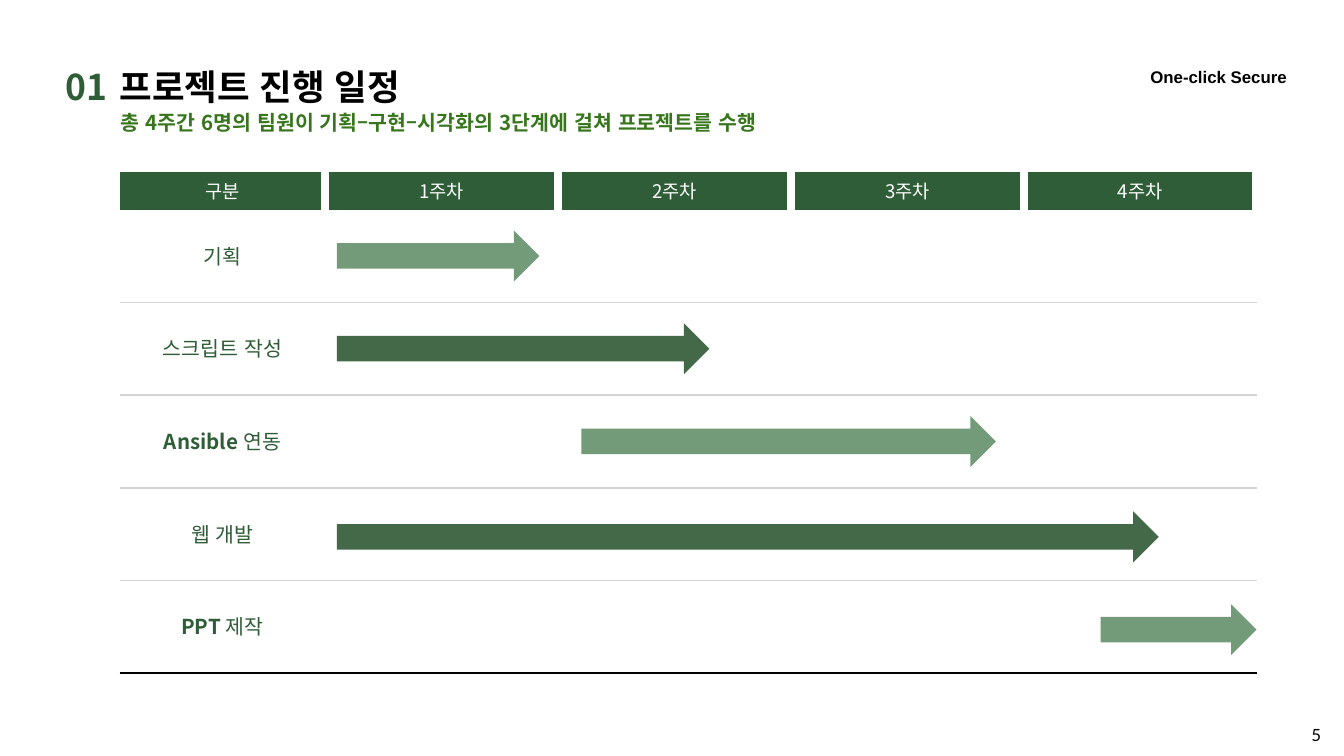
from dataclasses import dataclass

from lxml.etree import SubElement
from pptx import Presentation
from pptx.dml.color import RGBColor
from pptx.enum.lang import MSO_LANGUAGE_ID
from pptx.enum.shapes import MSO_SHAPE
from pptx.enum.text import MSO_ANCHOR, PP_ALIGN
from pptx.oxml.ns import qn
from pptx.util import Inches, Pt


@dataclass(frozen=True)
class Theme:
    green: str = "2F5D37"
    subtitle: str = "38761D"
    light_bar: str = "739B79"
    dark_bar: str = "436949"
    rule: str = "D4D4D4"
    black: str = "000000"
    white: str = "FFFFFF"
    korean: str = "Noto Sans CJK KR"
    brand: str = "Arial"
    number: str = "Lato"
    title_size: float = 19
    body_size: float = 11
    header_size: float = 10
    small_size: float = 9


T = Theme()

# Schedule grid, in inches
LEFT, TOP, WIDTH = 0.89, 1.28, 8.46
LABEL_W = 1.53
WEEK_W = (WIDTH - LABEL_W) / 4
HEAD_H, ROW_H = 0.28, 0.69
BAR_H = 0.38

HEADERS = ["구분", "1주차", "2주차", "3주차", "4주차"]
# Task label as (text, bold) runs, start and end in weeks, drop below centre
TASKS = [
    ([("기획", False)], 0.05, 0.92, 0),
    ([("스크립트 작성", False)], 0.05, 1.65, 0),
    ([("Ansible", True), (" 연동", False)], 1.10, 2.88, 0),
    ([("웹 개발", False)], 0.05, 3.58, 0.02),
    ([("PPT ", True), ("제작", False)], 3.33, 4.00, 0.02),
]


def style_paragraph(p, runs, size, color, name, align, spacing):
    """Write (text, bold) runs in one font, for Latin and Korean alike."""
    p.alignment, p.line_spacing = align, spacing
    p.font.size, p.font.name = Pt(size), name
    p.font.color.rgb = RGBColor.from_string(color)
    for text, bold in runs:
        r = p.add_run()
        r.text, r.font.bold = text, bold
        r.font.size, r.font.name = Pt(size), name
        r.font.color.rgb = RGBColor.from_string(color)
        r.font.language_id = MSO_LANGUAGE_ID.KOREAN
        SubElement(r.font._element, qn("a:ea"), typeface=name)


def add_text(s, box, text, size, color, name=T.korean, bold=True,
             align=PP_ALIGN.LEFT):
    tf = s.shapes.add_textbox(*map(Inches, box)).text_frame
    tf.word_wrap = True
    tf.margin_left = tf.margin_right = tf.margin_top = tf.margin_bottom = 0
    style_paragraph(tf.paragraphs[0], [(text, bold)], size, color, name,
                    align, 1.16)


def set_borders(cell, **borders):
    """Draw the given sides (L, R, T, B) as (colour, points); hide the rest."""
    tc_pr = cell._tc.get_or_add_tcPr()
    for side in "LRTB":
        color, width = borders.get(side, (None, 0))
        ln = SubElement(tc_pr, qn(f"a:ln{side}"), w=str(Pt(width)))
        if color:
            fill = SubElement(ln, qn("a:solidFill"))
            SubElement(fill, qn("a:srgbClr"), val=color)
        else:
            SubElement(ln, qn("a:noFill"))


def fill_cell(cell, runs, size, color, fill):
    cell.fill.solid()
    cell.fill.fore_color.rgb = RGBColor.from_string(fill)
    cell.vertical_anchor = MSO_ANCHOR.MIDDLE
    cell.margin_left = cell.margin_right = Inches(0.01)
    cell.margin_top = cell.margin_bottom = Inches(0.01)
    style_paragraph(cell.text_frame.paragraphs[0], runs, size, color,
                    T.korean, PP_ALIGN.CENTER, 0.92)


def add_schedule(s):
    widths = [LABEL_W] + [WEEK_W] * (len(HEADERS) - 1)
    heights = [HEAD_H] + [ROW_H] * len(TASKS)
    frame = s.shapes.add_table(len(heights), len(widths), Inches(LEFT),
                               Inches(TOP), Inches(WIDTH),
                               Inches(sum(heights)))
    table = frame.table
    table.first_row = table.horz_banding = False
    for column, width in zip(table.columns, widths):
        column.width = Inches(width)
    for row, height in zip(table.rows, heights):
        row.height = Inches(height)

    # Header cells, parted by thick white borders
    gap = (T.white, 5)
    for col, text in enumerate(HEADERS):
        cell = table.cell(0, col)
        set_borders(cell, R=gap, **({"L": gap} if col else {}))
        fill_cell(cell, [(text, False)], T.header_size, T.white, T.green)

    # Task rows, closed by a black line
    for row, (label, *_) in enumerate(TASKS, start=1):
        line = T.black if row == len(TASKS) else T.rule
        top = {"T": (T.rule, 1)} if row > 1 else {}
        for col in range(len(HEADERS)):
            cell = table.cell(row, col)
            set_borders(cell, B=(line, 1), **top)
            fill_cell(cell, [] if col else label, T.body_size, T.green,
                      T.white)


def add_bar(s, row, start, end, drop):
    x = LEFT + LABEL_W + start * WEEK_W
    y = TOP + HEAD_H + (row + 0.5) * ROW_H - BAR_H / 2 + drop
    bar = s.shapes.add_shape(MSO_SHAPE.RIGHT_ARROW, Inches(x), Inches(y),
                             Inches((end - start) * WEEK_W), Inches(BAR_H))
    bar.shadow.inherit = False
    bar.fill.solid()
    color = T.dark_bar if row % 2 else T.light_bar
    bar.fill.fore_color.rgb = RGBColor.from_string(color)
    bar.line.fill.background()


def main():
    # Widescreen, 16 to 9
    prs = Presentation()
    prs.slide_width = Inches(10)
    prs.slide_height = prs.slide_width * 9 // 16
    s = prs.slides.add_slide(prs.slide_layouts[6])

    # Heading
    add_text(s, (0.9, 0.79, 5.72, 0.2),
             "총 4주간 6명의 팀원이 기획–구현–시각화의 3단계에 걸쳐 프로젝트를 수행",
             T.body_size, T.subtitle)
    add_text(s, (LEFT, 0.43, 2.57, 0.29), "프로젝트 진행 일정",
             T.title_size, T.black)
    add_text(s, (0.49, 0.43, 0.46, 0.32), "01", T.title_size, T.green)

    # Schedule and its bars
    add_schedule(s)
    for row, (_, start, end, drop) in enumerate(TASKS):
        add_bar(s, row, start, end, drop)

    # Page number and project name
    add_text(s, (9.48, 5.37, 0.35, 0.16), "5", T.small_size, T.black,
             T.number, False, PP_ALIGN.RIGHT)
    add_text(s, (8.56, 0.47, 1.16, 0.18), "One-click Secure", T.small_size,
             T.black, T.brand)

    prs.save("out.pptx")


if __name__ == "__main__":
    main()
